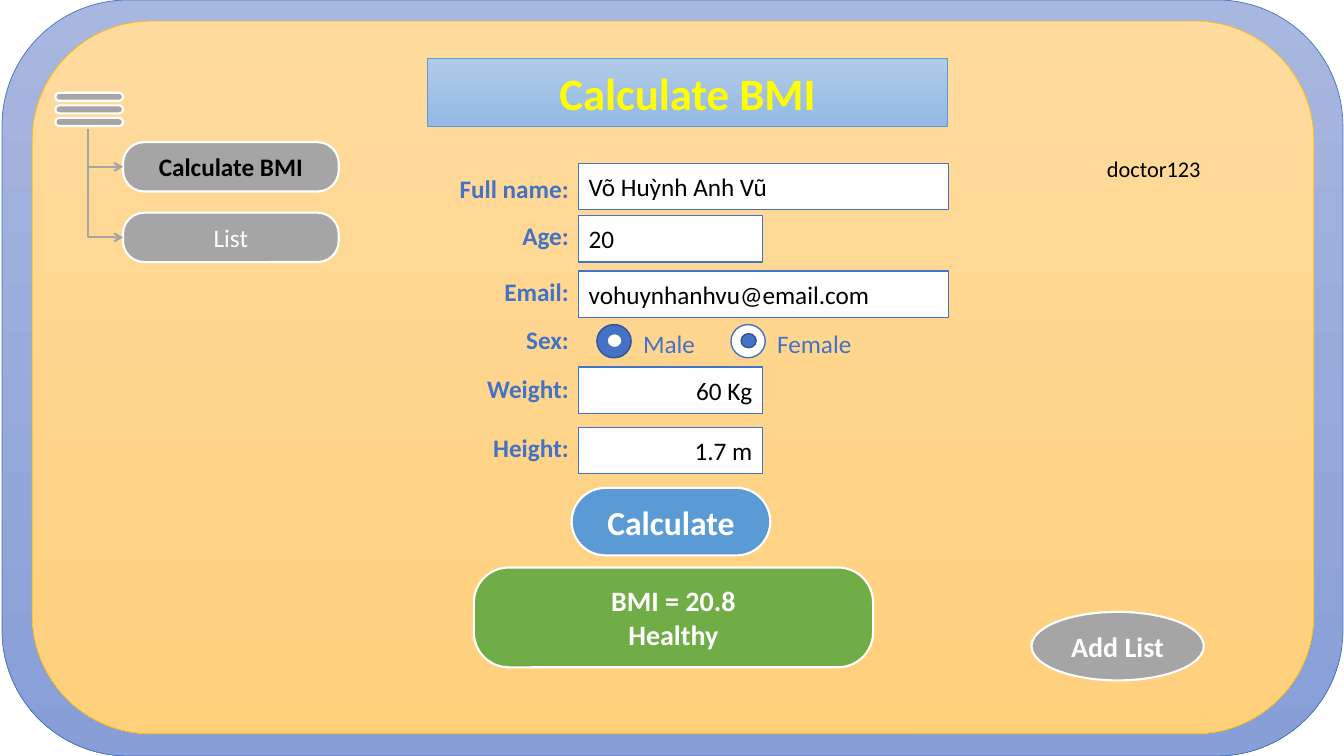
from pptx import Presentation
from pptx.dml.color import RGBColor
from pptx.enum.shapes import MSO_CONNECTOR, MSO_SHAPE
from pptx.enum.text import MSO_ANCHOR, PP_ALIGN
from pptx.oxml.ns import qn
from pptx.util import Inches, Pt
from lxml import etree

RECT, ROUNDED, OVAL = MSO_SHAPE.RECTANGLE, MSO_SHAPE.ROUNDED_RECTANGLE, MSO_SHAPE.OVAL
LEFT, CENTER, RIGHT = PP_ALIGN.LEFT, PP_ALIGN.CENTER, PP_ALIGN.RIGHT
TOP, MIDDLE = MSO_ANCHOR.TOP, MSO_ANCHOR.MIDDLE
ELBOW = MSO_CONNECTOR.ELBOW

FONT = "Calibri"
COLORS = {
    "white": "FFFFFF", "black": "000000", "yellow": "FFFF00", "grey": "A5A5A5",
    "blue": "4472C4", "dark blue": "325491", "sky": "5B9BD5", "green": "70AD47",
    "gold": "FFC000",
}
GRADIENTS = {
    "border": ("A8B7DF", "889ED7"),
    "panel": ("FFDB9E", "FFD07C"),
    "title": ("B1CBE9", "93B9E4"),
}


def color(name):
    return RGBColor.from_string(COLORS[name])


def set_outline(shape, name, points):
    shape.line.color.rgb = color(name)
    shape.line.width = Pt(points)


def fill_gradient(shape, name):
    """Fill from top to bottom with the two colours of a gradient."""
    shape.fill.gradient()
    shape.fill.gradient_angle = 270
    for stop, value in zip(shape.fill.gradient_stops, GRADIENTS[name]):
        stop.color.rgb = RGBColor.from_string(value)


def write(shape, text, size, ink, bold=False, align=CENTER, anchor=MIDDLE):
    frame = shape.text_frame
    frame.text = text
    frame.word_wrap = True
    frame.vertical_anchor = anchor
    for paragraph in frame.paragraphs:
        paragraph.alignment = align
        for run in paragraph.runs:
            run.font.name = FONT
            run.font.size = Pt(size)
            run.font.bold = bold
            run.font.color.rgb = color(ink)


def add_box(slide, kind, box, fill, line="white", points=1.5, corner=None):
    """Add a shape; fill names either a plain colour or a gradient."""
    shape = slide.shapes.add_shape(kind, *map(Inches, box))
    shape.shadow.inherit = False
    if fill in GRADIENTS:
        fill_gradient(shape, fill)
    else:
        shape.fill.solid()
        shape.fill.fore_color.rgb = color(fill)
    set_outline(shape, line, points)
    if corner is not None:
        shape.adjustments[0] = corner
    return shape


def add_label(slide, box, text, size=18, ink="blue", bold=False, align=LEFT):
    label = slide.shapes.add_textbox(*map(Inches, box))
    write(label, text, size, ink, bold, align, TOP)


def add_branch(slide, x, y, end_x, end_y):
    """Draw an arrow that runs down from x, y and then right to its end."""
    across, down = end_x - x, end_y - y
    branch = slide.shapes.add_connector(
        ELBOW, *map(Inches, (x, y, end_x, end_y)))
    set_outline(branch, "grey", 1.5)
    # A two-part elbow is laid out sideways, turned about its centre.
    branch.left = Inches(x + (across - down) / 2)
    branch.top = Inches(y + (down - across) / 2)
    branch.width, branch.height = Inches(down), Inches(across)
    properties = branch._element.spPr
    properties.find(qn("a:prstGeom")).set("prst", "bentConnector2")
    transform = properties.find(qn("a:xfrm"))
    transform.set("rot", "16200000")
    transform.set("flipH", "1")
    etree.SubElement(properties.find(qn("a:ln")), qn("a:tailEnd"), type="arrow")
    etree.SubElement(properties, qn("a:effectLst"))


def draw_frame(slide, width, height):
    add_box(slide, ROUNDED, (0.02, 0, width - 0.03, height), "border", "blue", 0.5)
    add_box(slide, ROUNDED, (0.32, 0.21, width - 0.62, height - 0.43),
            "panel", "gold", 0.5)


def draw_title(slide, box):
    title = slide.shapes.title
    title.left, title.top, title.width, title.height = map(Inches, box)
    fill_gradient(title, "title")
    set_outline(title, "sky", 0.5)
    write(title, "Calculate BMI", 32, "yellow", bold=True)
    title._element.getparent().append(title._element)  # in front of the frame


def draw_menu(slide, x, y):
    for bar in range(3):
        add_box(slide, ROUNDED, (x, y + 0.125 * bar, 0.67, 0.08), "grey", corner=0.5)
    entries = [("Calculate BMI", "black", True), ("List", "white", False)]
    for row, (text, ink, bold) in enumerate(entries):
        top = y + 0.49 + 0.7 * row
        entry = add_box(slide, ROUNDED, (x + 0.67, top, 2.14, 0.49), "grey",
                        corner=0.43)
        write(entry, text, 18, ink, bold)
        add_branch(slide, x + 0.32, y + 0.36, x + 0.67, top + 0.245)


def draw_choice(slide, x, y, text, outer, inner):
    """Draw a radio button; outer and inner are fill and line colours."""
    add_box(slide, OVAL, (x, y, 0.34, 0.33), *outer, 1)
    add_box(slide, OVAL, (x + 0.1, y + 0.09, 0.15, 0.14), *inner, 1)
    add_label(slide, (x + 0.36, y - 0.01, 1.13, 0.4), text)


def draw_form(slide, x, y):
    """Draw labels that end at x and fields that start there."""
    wide, narrow = 3.67, 1.82
    rows = [  # label, label offset, field offset, field width, value, alignment
        ("Full name:", 0.05, 0, wide, "Võ Huỳnh Anh Vũ", LEFT),
        ("Age:", 0.52, 0.52, narrow, "20", LEFT),
        ("Email:", 1.07, 1.07, wide, "vohuynhanhvu@email.com", LEFT),
        ("Sex:", 1.55, None, None, None, None),
        ("Weight:", 2.03, 2.02, narrow, "60 Kg", RIGHT),
        ("Height:", 2.62, 2.62, narrow, "1.7 m", RIGHT),
    ]
    for label, label_y, field_y, width, value, align in rows:
        add_label(slide, (x - 1.82, y + label_y, 1.82, 0.4), label,
                  bold=True, align=RIGHT)
        if value:
            field = add_box(slide, RECT, (x, y + field_y, width, 0.46),
                            "white", "blue", 1)
            write(field, value, 18, "black", align=align)
    solid, hollow = ("blue", "dark blue"), ("white", "blue")
    draw_choice(slide, x + 0.18, y + 1.6, "Male", solid, hollow)
    draw_choice(slide, x + 1.51, y + 1.6, "Female", hollow, solid)


def draw_result(slide, x, y):
    calculate = add_box(slide, ROUNDED, (x + 0.97, y, 1.97, 0.67), "sky", corner=0.5)
    write(calculate, "Calculate", 24, "white", bold=True)
    result = add_box(slide, ROUNDED, (x, y + 0.79, 3.96, 0.99), "green", corner=0.35)
    write(result, "BMI = 20.8\nHealthy", 20, "white", bold=True)


def draw_account(slide, x, y):
    add_label(slide, (x + 0.65, y, 1.26, 0.37), "doctor123", 16, "black")
    add_list = add_box(slide, OVAL, (x, y + 4.58, 1.71, 0.68), "grey")
    write(add_list, "Add List", 20, "white", bold=True)


def main():
    width, height = 13.33, 7.5
    deck = Presentation()
    deck.slide_width, deck.slide_height = Inches(width), Inches(height)
    slide = deck.slides.add_slide(deck.slide_layouts.get_by_name("Title Only"))
    draw_frame(slide, width, height)
    draw_title(slide, (4.24, 0.58, 5.16, 0.67))
    draw_menu(slide, 0.55, 0.92)
    draw_form(slide, 5.74, 1.62)
    draw_result(slide, 4.7, 4.84)
    draw_account(slide, 10.23, 1.49)
    deck.save("out.pptx")


if __name__ == "__main__":
    main()
